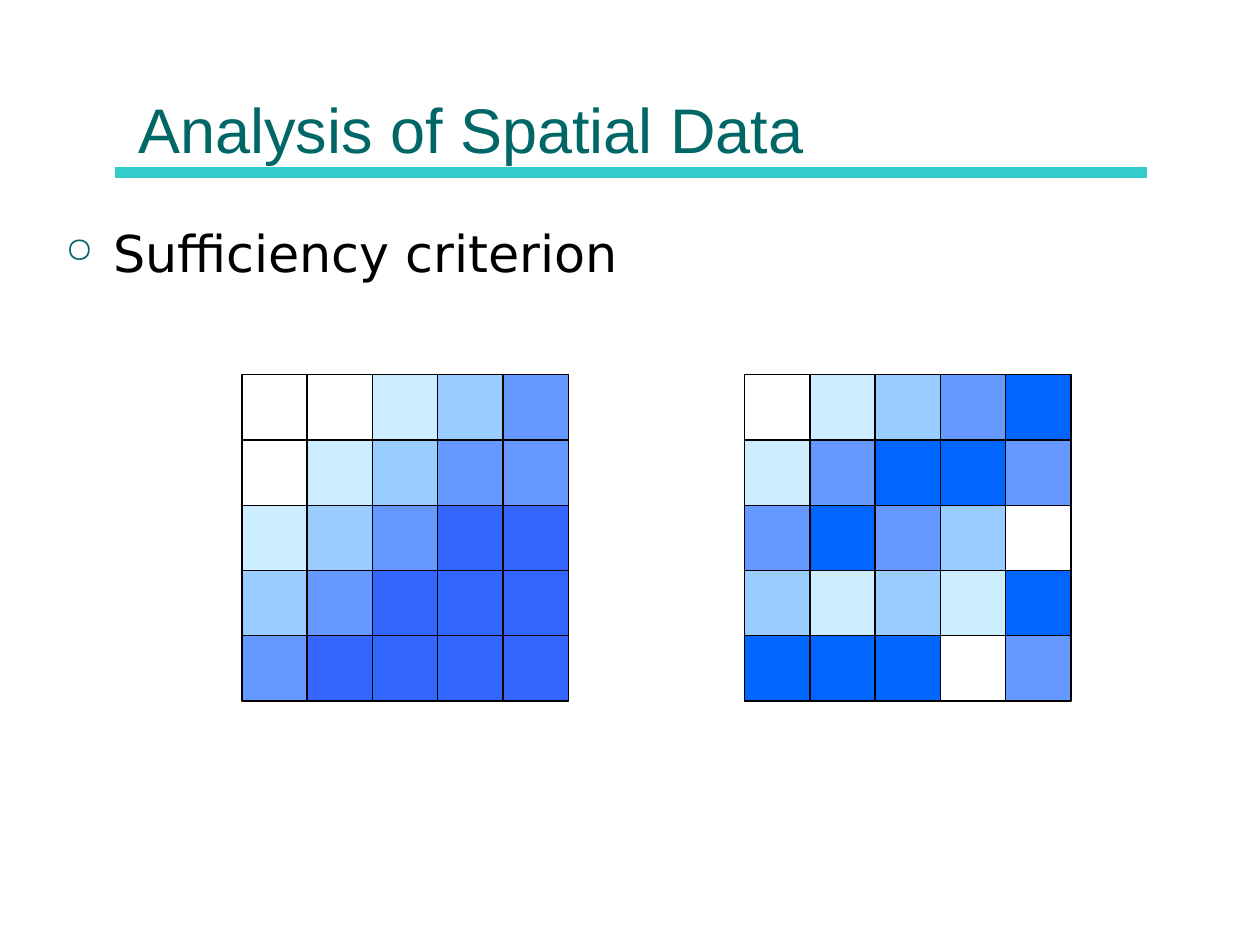
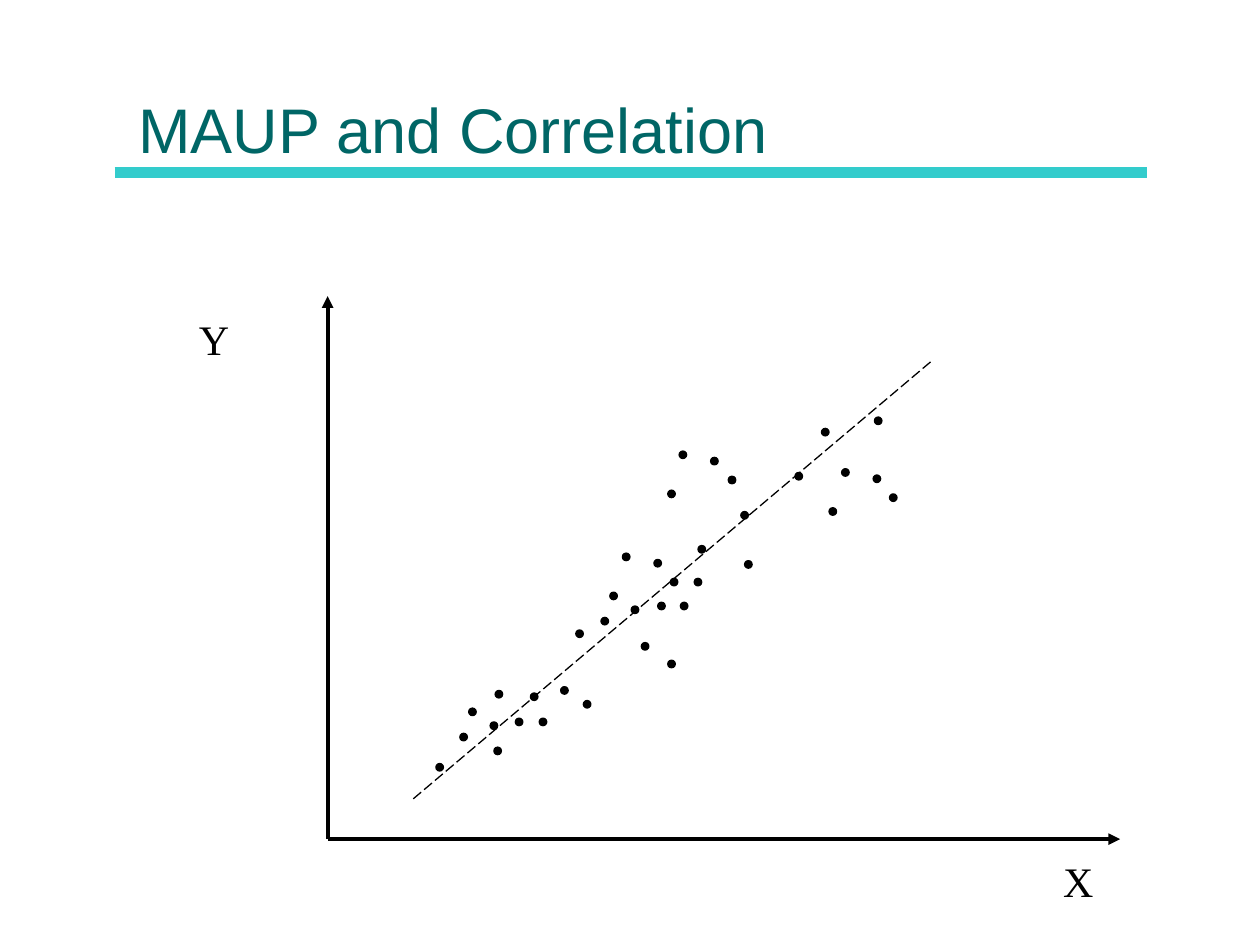
from typing import NamedTuple

from lxml import etree
from pptx import Presentation
from pptx.dml.color import RGBColor
from pptx.enum.dml import MSO_LINE
from pptx.enum.shapes import MSO_CONNECTOR, MSO_SHAPE
from pptx.enum.text import MSO_ANCHOR, MSO_AUTO_SIZE
from pptx.oxml.ns import qn
from pptx.util import Inches, Pt

STRAIGHT = MSO_CONNECTOR.STRAIGHT
RECTANGLE, ELLIPSE = MSO_SHAPE.RECTANGLE, MSO_SHAPE.OVAL
LONG_DASH = MSO_LINE.LONG_DASH
TOP, BOTTOM = MSO_ANCHOR.TOP, MSO_ANCHOR.BOTTOM
GROW = MSO_AUTO_SIZE.SHAPE_TO_FIT_TEXT

BLACK = RGBColor(0x00, 0x00, 0x00)
WHITE = RGBColor(0xFF, 0xFF, 0xFF)
TEAL = RGBColor(0x00, 0x66, 0x66)
TURQUOISE = RGBColor(0x33, 0xCC, 0xCC)

# Cell shades, from low to high values
SHADES = {
    "0": WHITE,
    "1": RGBColor(0xCC, 0xEC, 0xFF),
    "2": RGBColor(0x99, 0xCC, 0xFF),
    "3": RGBColor(0x66, 0x99, 0xFF),
    "4": RGBColor(0x33, 0x66, 0xFF),
    "5": RGBColor(0x00, 0x66, 0xFF),
}

# The slide is a grid of 100 columns by 75 rows
UNIT = Inches(0.1)
COLUMNS, ROWS = 100, 75
CELL = 5.18
DOT = 0.6
THIN = 0.75


class Area(NamedTuple):
    column: float
    row: float
    width: float
    height: float


class Label(NamedTuple):
    text: str
    area: Area
    font: str
    size: float
    color: RGBColor
    anchor: MSO_ANCHOR = TOP
    wrap: bool = True


class Line(NamedTuple):
    start: tuple[float, float]
    end: tuple[float, float]
    width: float
    color: RGBColor = BLACK
    arrow: bool = False
    dashed: bool = False


class Raster(NamedTuple):
    column: float
    row: float
    shades: tuple[str, ...]


TITLE_AREA = Area(10, 1.2, 80, 12.5)
TITLE_RULE = Line((9.1, 13.7), (91, 13.7), 6, TURQUOISE)
CRITERION = Label("Sufficiency criterion", Area(4.2, 17.1, 91.3, 45),
                  "DejaVu Sans", 29, BLACK)

RASTERS = (
    Raster(19.2, 29.75, ("00123", "01233", "12344", "23444", "34444")),
    Raster(59.1, 29.75, ("01235", "13553", "35320", "21215", "55503")),
)

ORIGIN = (26, 66.6)
PLOT_LINES = (
    Line(ORIGIN, (26, 23.5), 2.25, arrow=True),
    Line(ORIGIN, (88.9, 66.6), 2.25, arrow=True),
    Line((32.8, 63.4), (74, 28.6), THIN, dashed=True),
)
AXIS_LABELS = tuple(
    Label(text, Area(column, row, 4.4, 5), "Times New Roman", 24, BLACK, wrap=False)
    for text, column, row in (("Y", 14.8, 24.4), ("X", 83.4, 67.4))
)

# Left and top of each dot
OBSERVATIONS = (
    (34.6, 60.6), (36.5, 58.2), (37.2, 56.2), (38.9, 57.3), (39.2, 59.3),
    (39.3, 54.8), (40.9, 57), (42.1, 55), (42.8, 57), (44.5, 54.5),
    (45.7, 50), (46.3, 55.6), (47.7, 49), (48.4, 47), (49.4, 43.9),
    (50.1, 48.1), (50.9, 51), (51.9, 44.4), (52.2, 47.8), (53, 38.9),
    (53, 52.4), (53.2, 45.9), (53.9, 35.8), (54, 47.8), (55.1, 45.9),
    (55.4, 43.3), (56.4, 36.3), (57.8, 37.8), (58.8, 40.6), (59.1, 44.5),
    (63.1, 37.5), (65.2, 34), (65.8, 40.3), (66.8, 37.2), (69.3, 37.7),
    (69.4, 33.1), (70.6, 39.2),
)


def span(units: float) -> int:
    return round(units * UNIT)


def draw_shape(shapes, kind: MSO_SHAPE, area: Area, fill: RGBColor) -> None:
    shape = shapes.add_shape(kind, *map(span, area))
    shape.shadow.inherit = False
    shape.fill.solid()
    shape.fill.fore_color.rgb = fill
    shape.line.color.rgb = BLACK
    shape.line.width = Pt(THIN)


def draw_line(page, line: Line) -> None:
    connector = page.shapes.add_connector(STRAIGHT, *map(span, line.start + line.end))
    connector.line.color.rgb = line.color
    connector.line.width = Pt(line.width)
    if line.dashed:
        connector.line.dash_style = LONG_DASH
    if line.arrow:
        etree.SubElement(connector.line._get_or_add_ln(), qn("a:tailEnd"), type="triangle")
    etree.SubElement(connector._element.spPr, qn("a:effectLst"))


def draw_label(page, label: Label):
    box = page.shapes.add_textbox(*map(span, label.area))
    frame = box.text_frame
    frame.word_wrap = label.wrap
    frame.vertical_anchor = label.anchor
    if not label.wrap:
        frame.auto_size = GROW
    para = frame.paragraphs[0]
    para.text = label.text
    para.font.name = label.font
    para.font.size = Pt(label.size)
    para.font.color.rgb = label.color
    return para


def add_bullet(para, mark: str, color: RGBColor, percent: int, indent: float) -> None:
    properties = para._p.get_or_add_pPr()
    properties.set("marL", str(span(indent)))
    properties.set("indent", str(-span(indent)))
    bullet = [etree.Element(qn("a:buClr")),
              etree.Element(qn("a:buSzPct"), val=str(percent * 1000)),
              etree.Element(qn("a:buChar"), char=mark)]
    etree.SubElement(bullet[0], qn("a:srgbClr"), val=str(color))
    # Bullet settings stand before the default run properties
    for position, element in enumerate(bullet):
        properties.insert(position, element)


def draw_raster(page, raster: Raster) -> None:
    for row, shades in enumerate(raster.shades):
        for column, shade in enumerate(shades):
            area = Area(raster.column + column * CELL, raster.row + row * CELL, CELL, CELL)
            draw_shape(page.shapes, RECTANGLE, area, SHADES[shade])


def draw_dots(page, places: tuple[tuple[float, float], ...]) -> None:
    group = page.shapes.add_group_shape()
    for column, row in places:
        draw_shape(group.shapes, ELLIPSE, Area(column, row, DOT, DOT), BLACK)


def add_page(deck, title: str):
    page = deck.slides.add_slide(deck.slide_layouts[6])
    draw_line(page, TITLE_RULE)
    draw_label(page, Label(title, TITLE_AREA, "Arial", 36, TEAL, BOTTOM))
    return page


def main() -> None:
    deck = Presentation()
    deck.slide_width, deck.slide_height = span(COLUMNS), span(ROWS)

    # Two rasters under the criterion
    page = add_page(deck, "Analysis of Spatial Data")
    for raster in RASTERS:
        draw_raster(page, raster)
    add_bullet(draw_label(page, CRITERION), "○", TEAL, 70, 3.8)

    # Scatter of observations around the trend
    page = add_page(deck, "MAUP and Correlation")
    for line in PLOT_LINES:
        draw_line(page, line)
    for label in AXIS_LABELS:
        draw_label(page, label)
    draw_dots(page, OBSERVATIONS)

    deck.save("out.pptx")


if __name__ == "__main__":
    main()
